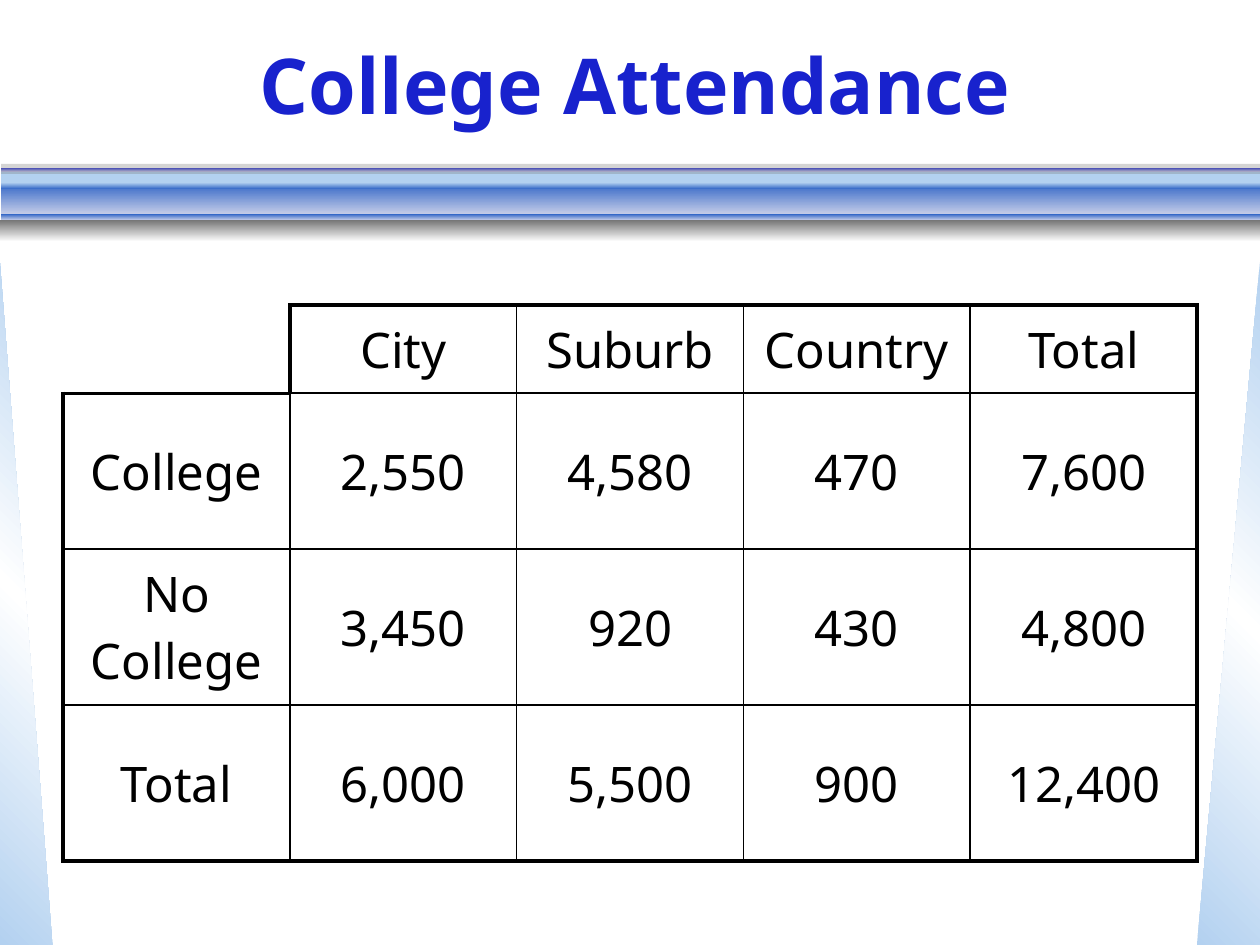
import copy
import dataclasses

import lxml.etree
import pptx
import pptx.dml.color
import pptx.enum.shapes
import pptx.enum.text
import pptx.oxml.ns
import pptx.util

Pt = pptx.util.Pt
qn = pptx.oxml.ns.qn
RGB = pptx.dml.color.RGBColor.from_string
SHAPE = pptx.enum.shapes.MSO_SHAPE


@dataclasses.dataclass(frozen=True)
class Theme:
    font: str = "Noto Sans"
    title_size: float = 44
    cell_size: float = 28
    title: str = "1822CD"
    ink: str = "000000"
    sky: str = "B3D1F0"
    blue: str = "3568C7"
    pale: str = "CAD0E9"
    lilac: str = "BABBE7"
    grey: str = "777777"
    white: str = "FFFFFF"
    thin: float = 1
    thick: float = 2.25


def write_text(tf, text, *, font, size, color, bold=False):
    """Put one centred, formatted paragraph in a text frame."""
    tf.word_wrap = True
    p = tf.paragraphs[0]
    p.alignment = pptx.enum.text.PP_ALIGN.CENTER
    r = p.add_run()
    r.text = text
    r.font.name, r.font.size, r.font.bold = font, Pt(size), bold
    r.font.color.rgb = RGB(color)


class SlideBuilder:
    def __init__(self, prs, theme):
        self.theme = theme
        self.slide = prs.slides.add_slide(prs.slide_layouts[5])

    def title(self, text, x, y, w, h):
        sp = self.slide.shapes.title
        sp.left, sp.top, sp.width, sp.height = Pt(x), Pt(y), Pt(w), Pt(h)
        sp.text_frame.vertical_anchor = pptx.enum.text.MSO_ANCHOR.MIDDLE
        write_text(sp.text_frame, text, font=self.theme.font,
                   size=self.theme.title_size, color=self.theme.title, bold=True)

    def shape(self, kind, x, y, w, h, colors, angle=90, flip=None, alpha=None):
        """Draw a borderless shape; several colours make an even gradient."""
        sp = self.slide.shapes.add_shape(kind, Pt(x), Pt(y), Pt(w), Pt(h))
        sp.shadow.inherit = False
        sp.line.fill.background()
        spPr = sp._element.spPr
        if flip:
            spPr.find(qn("a:xfrm")).set(flip, "1")
        if len(colors) == 1:
            sp.fill.solid()
            sp.fill.fore_color.rgb = RGB(colors[0])
            if alpha:
                clr = spPr.find(qn("a:solidFill")).find(qn("a:srgbClr"))
                lxml.etree.SubElement(clr, qn("a:alpha")).set("val", str(alpha * 1000))
            return
        sp.fill.gradient()
        sp.fill.gradient_angle = 360 - angle
        stops = spPr.find(qn("a:gradFill")).find(qn("a:gsLst"))
        for _ in colors[2:]:
            stops.append(copy.deepcopy(stops[0]))
        for i, (stop, color) in enumerate(zip(sp.fill.gradient_stops, colors)):
            stop.color.rgb = RGB(color)
            stop.position = i / (len(colors) - 1)

    def border(self, cell, side, width):
        ln = lxml.etree.SubElement(cell._tc.get_or_add_tcPr(), qn("a:ln" + side))
        if width is None:
            lxml.etree.SubElement(ln, qn("a:noFill"))
            return
        ln.set("w", str(Pt(width)))
        fill = lxml.etree.SubElement(ln, qn("a:solidFill"))
        lxml.etree.SubElement(fill, qn("a:srgbClr")).set("val", self.theme.ink)

    def table(self, rows, x, y, col_width, heights):
        """Draw a cross table with a heavy outline and an open corner cell."""
        n_rows, n_cols = len(rows), len(rows[0])
        thin, thick = self.theme.thin, self.theme.thick
        tbl = self.slide.shapes.add_table(
            n_rows, n_cols, Pt(x), Pt(y), Pt(col_width * n_cols), Pt(sum(heights))).table
        tbl.first_row = tbl.horz_banding = False
        for col in tbl.columns:
            col.width = Pt(col_width)
        for i, values in enumerate(rows):
            tbl.rows[i].height = Pt(heights[i])
            for j, text in enumerate(values):
                cell = tbl.cell(i, j)
                if i == j == 0:
                    widths = (None, thick, None, thick)
                else:
                    heavy = (j == 0 or (i, j) == (0, 1), j == n_cols - 1,
                             i == 0 or (i, j) == (1, 0), i == n_rows - 1)
                    widths = [thick if edge else thin for edge in heavy]
                for side, width in zip("LRTB", widths):
                    self.border(cell, side, width)
                cell.fill.background()
                cell.vertical_anchor = pptx.enum.text.MSO_ANCHOR.MIDDLE
                if text:
                    write_text(cell.text_frame, text, font=self.theme.font,
                               size=self.theme.cell_size, color=self.theme.ink)


def main():
    prs = pptx.Presentation()
    prs.slide_width, prs.slide_height = Pt(720), Pt(540)
    t = Theme()
    s = SlideBuilder(prs, t)

    # Side wedges
    wedge = (t.sky, t.white, t.sky)
    s.shape(SHAPE.RIGHT_TRIANGLE, 0, 150, 30, 390, wedge, angle=315)
    s.shape(SHAPE.RIGHT_TRIANGLE, 684, 150, 36, 390, wedge, angle=45, flip="flipH")

    # Banner under the title: top, height, colours, flip
    bands = [
        (98, 7.2, (t.sky,), "flipV"),
        (105, 18, (t.blue, t.pale), None),
        (95.8, 2.2, (t.title, t.lilac), None),
        (122.4, 3.6, (t.pale, t.blue), "flipV"),
        (104.4, 3.6, (t.sky, t.blue), None),
    ]
    for y, h, colors, flip in bands:
        s.shape(SHAPE.RECTANGLE, 0.7, y, 719.3, h, colors, flip=flip)
    s.shape(SHAPE.RECTANGLE, 0, 126, 720, 12.2, (t.grey, t.white))
    s.shape(SHAPE.RECTANGLE, 0.7, 93.6, 719.3, 5.8, (t.grey,), alpha=31)

    # Title
    s.title("College Attendance", 12, 6, 702, 84)

    # Attendance by area
    s.table([
        ["", "City", "Suburb", "Country", "Total"],
        ["College", "2,550", "4,580", "470", "7,600"],
        ["No College", "3,450", "920", "430", "4,800"],
        ["Total", "6,000", "5,500", "900", "12,400"],
    ], 36, 174.3, 129.6, [50.4] + [89.1] * 3)

    prs.save("out.pptx")


if __name__ == "__main__":
    main()
